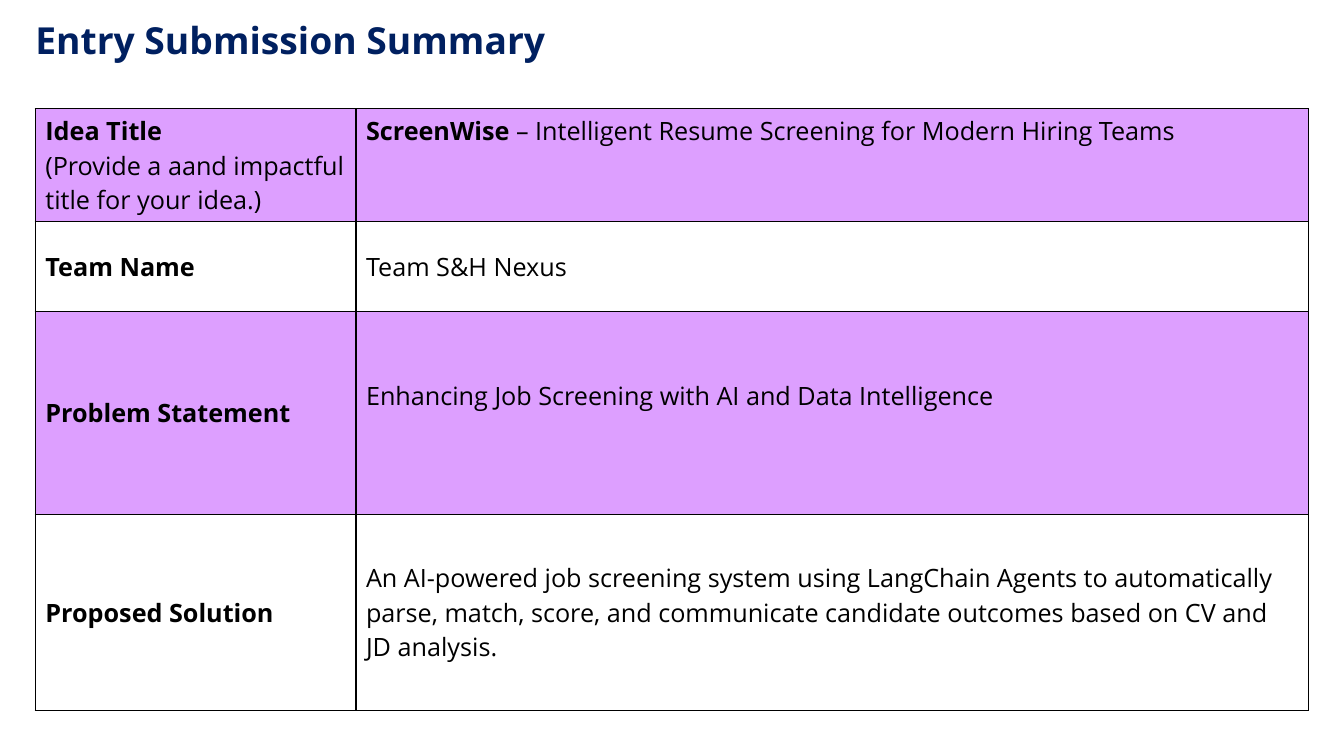
from lxml import etree
from pptx import Presentation
from pptx import util as u
from pptx.dml import color
from pptx.enum import text
from pptx.oxml import ns

LILAC, WHITE, BLACK, NAVY = "DD9FFF", "FFFFFF", "000000", "002060"
COLUMNS = [8.08, 24]
ROWS = [
    (2.85, LILAC, [("Idea Title", True), ("\n", False),
                   ("(Provide a aand impactful title for your idea.)", False)],
     [("ScreenWise", True),
      (" – Intelligent Resume Screening for Modern Hiring Teams", False)],
     {"vertical_anchor": text.MSO_ANCHOR.TOP}),
    (2.26, WHITE, [("Team Name", True)], [("Team S&H Nexus", False)], {}),
    (5.11, LILAC, [("Problem Statement", True)],
     [("Enhancing Job Screening with AI and Data Intelligence", False)],
     {"margin_bottom": u.Cm(1)}),
    (4.95, WHITE, [("Proposed Solution", True)],
     [("An AI-powered job screening system using LangChain Agents to "
       "automatically parse, match, score, and communicate candidate outcomes "
       "based on CV and JD analysis.", False)], {}),
]


def rgb(value):
    return color.RGBColor.from_string(value)


def apply(target, values):
    for name, value in values.items():
        setattr(target, name, value)


def write_runs(p, runs, size, fill):
    for content, bold in runs:
        if content == "\n":
            p.add_line_break()
            continue
        r = p.add_run()
        r.text = content
        apply(r.font, {"name": "Open Sans", "size": u.Pt(size), "bold": bold})
        r.font.color.rgb = rgb(fill)


def add_borders(cell):
    tc_pr = cell._tc.get_or_add_tcPr()
    for side in ("a:lnL", "a:lnR", "a:lnT", "a:lnB"):
        line = etree.SubElement(tc_pr, ns.qn(side), w=str(u.Pt(1)))
        solid = etree.SubElement(line, ns.qn("a:solidFill"))
        etree.SubElement(solid, ns.qn("a:srgbClr"), val=BLACK)


def format_cell(cell, runs, fill, values):
    add_borders(cell)
    cell.fill.solid()
    cell.fill.fore_color.rgb = rgb(fill)
    apply(cell, {"vertical_anchor": text.MSO_ANCHOR.MIDDLE, **values})
    write_runs(cell.text_frame.paragraphs[0], runs, 18, BLACK)


def add_title(s, title):
    sp = s.shapes.add_textbox(u.Cm(0.89), u.Cm(0.66), u.Cm(31.22), u.Cm(2.36))
    tf = sp.text_frame
    apply(tf, {"word_wrap": True, "margin_left": 0, "margin_top": 0,
               "margin_right": u.Cm(0.33), "margin_bottom": 0})
    p = tf.paragraphs[0]
    p.line_spacing = 0.8
    write_runs(p, [(title, True)], 26.6, NAVY)


def add_summary_table(s):
    table = s.shapes.add_table(
        len(ROWS), len(COLUMNS), u.Cm(0.89), u.Cm(2.74),
        u.Cm(sum(COLUMNS)), u.Cm(sum(row[0] for row in ROWS))).table
    apply(table, {"first_row": False, "horz_banding": False})
    for column, width in zip(table.columns, COLUMNS):
        column.width = u.Cm(width)
    for row, (height, fill, label, answer, values) in zip(table.rows, ROWS):
        row.height = u.Cm(height)
        format_cell(row.cells[0], label, fill, {})
        format_cell(row.cells[1], answer, fill, values)


def main():
    prs = Presentation()
    apply(prs, {"slide_width": u.Cm(33.87), "slide_height": u.Cm(19.05)})
    s = prs.slides.add_slide(prs.slide_layouts[6])
    add_title(s, "Entry Submission Summary")
    add_summary_table(s)
    prs.save("out.pptx")


if __name__ == "__main__":
    main()
